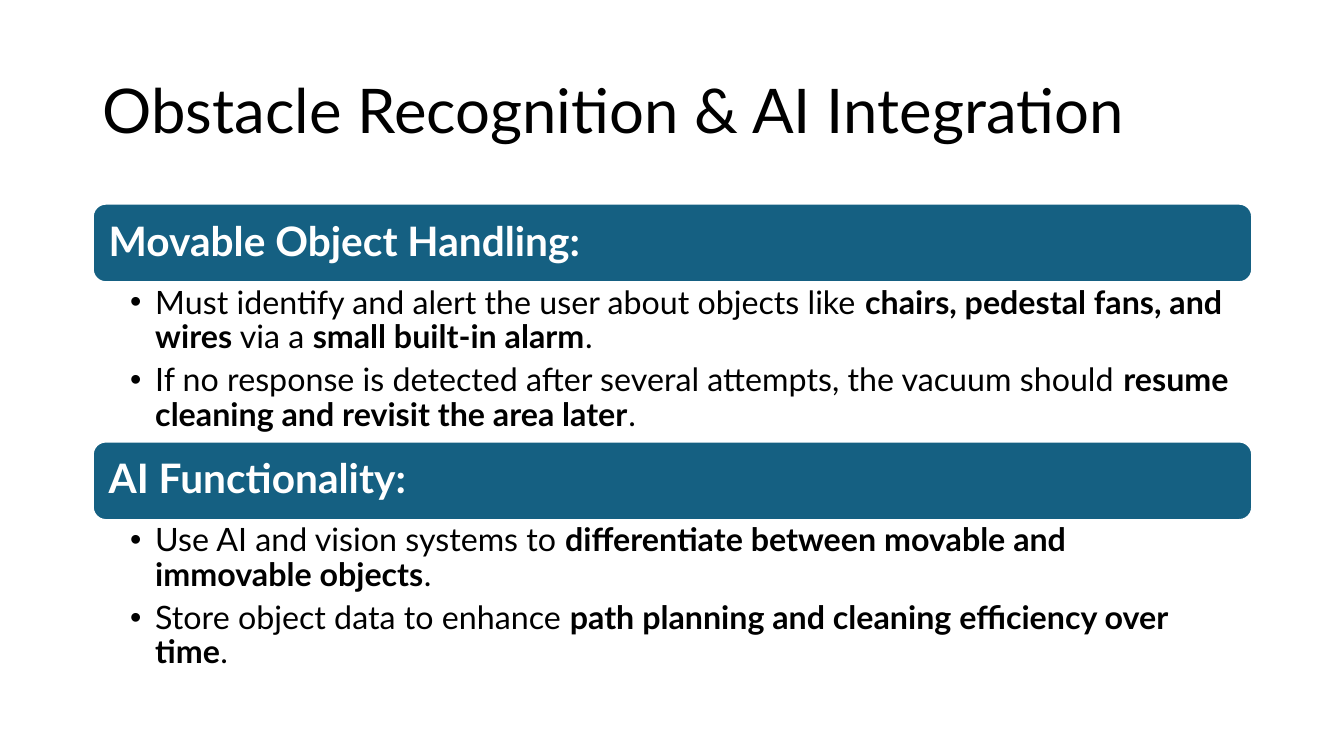
from pptx import Presentation
from pptx.dml.color import RGBColor
from pptx.enum.shapes import MSO_SHAPE as Shape
from pptx.enum.text import MSO_ANCHOR as Anchor, PP_ALIGN as Align
from pptx.util import Inches, Pt
from lxml.etree import SubElement
from pptx.oxml.ns import qn

WIDE, HIGH = 13.33, 7.5
LEFT, SPAN = 0.92, 11.5
TOP, BAR, BODY = 2.02, 0.78, 1.58


def tint(code):
    return RGBColor.from_string(code)


def write(box, lines, look, pads, anchor, gap=0, dot=False):
    frame = box.text_frame
    frame.word_wrap = True
    frame.vertical_anchor = anchor
    for side, pad in zip(("left", "top", "right", "bottom"), pads):
        setattr(frame, f"margin_{side}", Inches(pad))
    for i, line in enumerate(lines):
        para = frame.add_paragraph() if i else frame.paragraphs[0]
        para.alignment = Align.LEFT
        para.line_spacing = 0.9
        para.space_after = Pt(gap)
        if dot:
            para.level = 1
            props = para._p.get_or_add_pPr()
            props.set("marL", str(Inches(0.25)))
            props.set("indent", str(-Inches(0.25)))
            SubElement(props, qn("a:buFont"), typeface="Arial")
            SubElement(props, qn("a:buChar"), char="•")
        for j, words in enumerate(line.split("*")):
            run = para.add_run()
            run.text = words
            style = {"name": "Lato", "bold": j % 2 == 1} | look
            for key, val in style.items():
                if key == "color":
                    run.font.color.rgb = tint(val)
                else:
                    setattr(run.font, key, val)


deck = Presentation()
deck.slide_width, deck.slide_height = Inches(WIDE), Inches(HIGH)
slide = deck.slides.add_slide(deck.slide_layouts[6])

title = slide.shapes.add_textbox(*map(Inches, (LEFT, 0.4, SPAN, 1.45)))
write(title, ["Obstacle Recognition & AI Integration"],
      {"size": Pt(44), "color": "000000"},
      (0.1, 0.05, 0.1, 0.05), Anchor.MIDDLE)

parts = [
    ("Movable Object Handling:", [
        "Must identify and alert the user about objects like "
        "*chairs, pedestal fans, and wires* via a *small built-in alarm*.",
        "If no response is detected after several attempts, the vacuum should "
        "*resume cleaning and revisit the area later*.",
    ]),
    ("AI Functionality:", [
        "Use AI and vision systems to "
        "*differentiate between movable and immovable objects*.",
        "Store object data to enhance "
        "*path planning and cleaning efficiency over time*.",
    ]),
]

for row, (head, points) in enumerate(parts):
    top = TOP + row * (BAR + BODY)
    bar = slide.shapes.add_shape(
        Shape.ROUNDED_RECTANGLE, *map(Inches, (LEFT, top, SPAN, BAR)))
    bar.shadow.inherit = False
    bar.fill.solid()
    bar.fill.fore_color.rgb = tint("156082")
    bar.line.color.rgb = tint("FFFFFF")
    bar.line.width = Pt(1.5)
    write(bar, [head], {"size": Pt(29), "color": "FFFFFF", "bold": True},
          (0.12, 0.12, 0.12, 0.12), Anchor.MIDDLE)

    body = slide.shapes.add_textbox(
        *map(Inches, (LEFT, top + BAR, SPAN, BODY)))
    write(body, points, {"size": Pt(23), "color": "000000"},
          (0.37, 0.04, 0.23, 0.04), Anchor.TOP, gap=5.5, dot=True)

deck.save("out.pptx")
